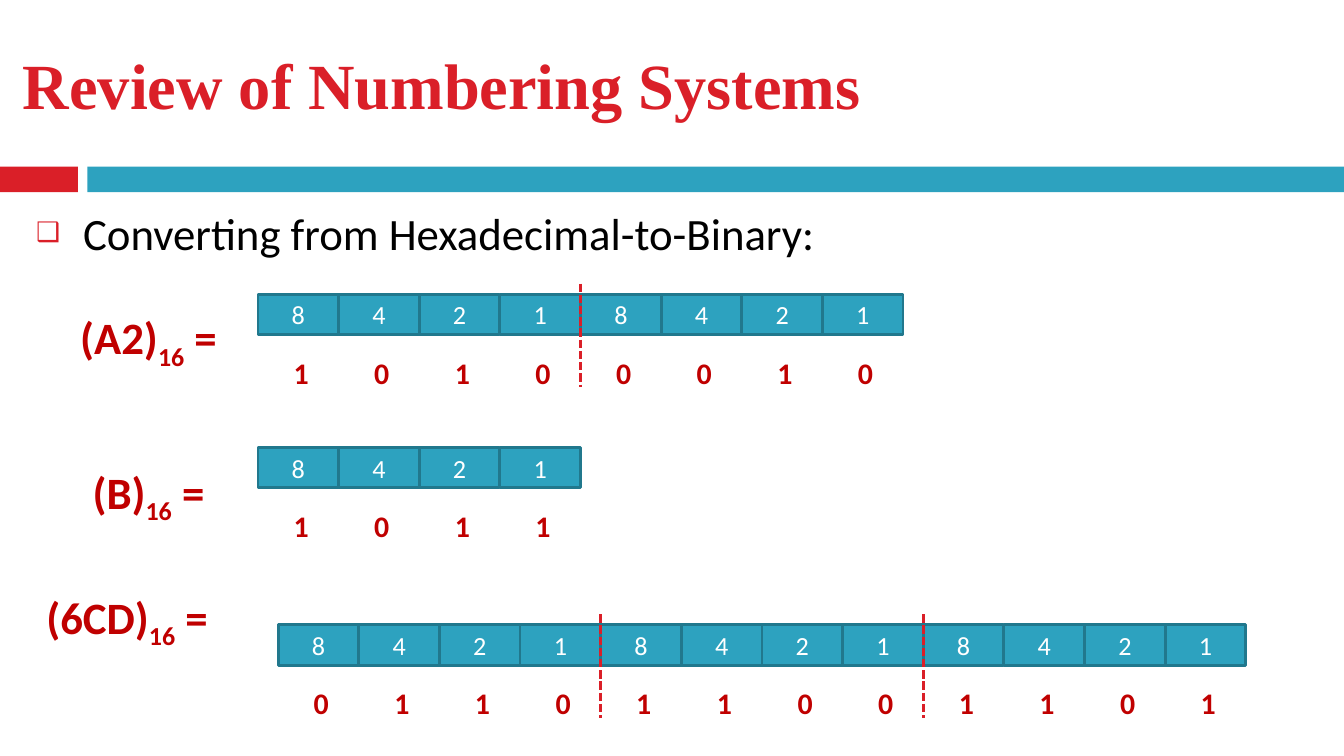
from lxml.etree import SubElement
from pptx import Presentation
from pptx.dml.color import RGBColor
from pptx.enum.dml import MSO_LINE
from pptx.enum.shapes import MSO_CONNECTOR, MSO_SHAPE
from pptx.enum.text import MSO_ANCHOR, MSO_AUTO_SIZE, PP_ALIGN
from pptx.oxml.ns import qn
from pptx.util import Inches, Pt

TITLE = "Review of Numbering Systems"
TOPIC = "Converting from Hexadecimal-to-Binary:"
WEIGHTS = "8421"
CONVERSIONS = [
    {"hex": "A2", "bits": "10100010", "left": 1.92, "top": 2.19, "label": (0.29, 2.15, 1.63, 0.77)},
    {"hex": "B", "bits": "1011", "left": 1.92, "top": 3.33, "label": (0.29, 3.3, 1.63, 0.77)},
    {"hex": "6CD", "bits": "011011001101", "left": 2.07, "top": 4.65, "label": (0, 4.23, 1.89, 0.77)},
]
COLORS = {
    "red": "DA1F28", "teal": "2DA2BF", "edge": "21788D",
    "answer": "C00000", "black": "000000", "white": "FFFFFF",
}
CELL_W, CELL_H = 0.6, 0.3
BIT_DX, BIT_DY = 0.02, 0.43
SPLIT_RISE, SPLIT_H = 0.08, 0.77


def rgb(name):
    return RGBColor.from_string(COLORS[name])


def inches(box):
    return [Inches(v) for v in box]


def add_run(p, text, size, color, bold=False, font="Calibri"):
    r = p.add_run()
    r.text = text
    r.font.name, r.font.size, r.font.bold = font, Pt(size), bold
    r.font.color.rgb = rgb(color)
    return r


def add_rect(s, box, fill, edge=None):
    sp = s.shapes.add_shape(MSO_SHAPE.RECTANGLE, *inches(box))
    sp.shadow.inherit = False
    sp.fill.solid()
    sp.fill.fore_color.rgb = rgb(fill)
    if edge:
        sp.line.color.rgb = rgb(edge)
        sp.line.width = Pt(1.5)
    else:
        sp.line.fill.background()
    return sp


def add_text(s, box):
    sp = s.shapes.add_textbox(*inches(box))
    sp.text_frame.word_wrap = True
    return sp


def center(sp):
    tf = sp.text_frame
    tf.vertical_anchor = MSO_ANCHOR.MIDDLE
    p = tf.paragraphs[0]
    p.alignment = PP_ALIGN.CENTER
    return p


def add_split(s, x, y):
    line = s.shapes.add_connector(MSO_CONNECTOR.STRAIGHT, *inches((x, y, x, y + SPLIT_H)))
    line.line.color.rgb = rgb("red")
    line.line.width = Pt(1.5)
    line.line.dash_style = MSO_LINE.SQUARE_DOT
    SubElement(line._element.spPr, qn("a:effectLst"))


def add_title(s):
    sp = s.shapes.title
    sp.left, sp.top, sp.width, sp.height = inches((0.17, 0.31, 8.67, 0.62))
    tf = sp.text_frame
    tf.auto_size = MSO_AUTO_SIZE.NONE
    tf.vertical_anchor = MSO_ANCHOR.MIDDLE
    tf.margin_left = tf.margin_top = tf.margin_right = tf.margin_bottom = 0
    p = tf.paragraphs[0]
    p.alignment = PP_ALIGN.LEFT
    add_run(p, TITLE, 34.5, "red", True, "Times New Roman")


def add_topic(s):
    p = add_text(s, (0.17, 1.48, 9.83, 2.33)).text_frame.paragraphs[0]
    p.space_before = Pt(7)
    pPr = p._p.get_or_add_pPr()
    pPr.set("marL", str(Inches(0.35)))
    pPr.set("indent", str(-Inches(0.35)))
    SubElement(SubElement(pPr, qn("a:buClr")), qn("a:srgbClr"), val=COLORS["red"])
    SubElement(pPr, qn("a:buSzPct"), val="60000")
    SubElement(pPr, qn("a:buFont"), typeface="Calibri")
    SubElement(pPr, qn("a:buChar"), char="❑")
    add_run(p, TOPIC, 24, "black")


def add_conversion(s, row):
    left, top = row["left"], row["top"]
    p = center(add_text(s, row["label"]))
    add_run(p, f"({row['hex']})", 24, "answer", True)
    base = add_run(p, "16", 24, "answer", True)
    base._r.get_or_add_rPr().set("baseline", "-25000")
    add_run(p, " =", 24, "answer", True)
    for i, bit in enumerate(row["bits"]):
        x = left + i * CELL_W
        cell = add_rect(s, (x, top, CELL_W, CELL_H), "teal", "edge")
        add_run(center(cell), WEIGHTS[i % len(WEIGHTS)], 14, "white")
        answer = add_text(s, (x + BIT_DX, top + BIT_DY, CELL_W, CELL_H))
        add_run(center(answer), bit, 16, "answer", True)
    for i in range(len(WEIGHTS), len(row["bits"]), len(WEIGHTS)):
        add_split(s, left + i * CELL_W, top - SPLIT_RISE)


def main():
    prs = Presentation()
    prs.slide_width = Inches(10)
    prs.slide_height = prs.slide_width * 9 // 16
    s = prs.slides.add_slide(prs.slide_layouts[5])
    add_rect(s, (0, 1.24, 0.58, 0.19), "red")
    add_rect(s, (0.65, 1.24, 9.35, 0.19), "teal")
    add_title(s)
    add_topic(s)
    for row in CONVERSIONS:
        add_conversion(s, row)
    prs.save("out.pptx")


if __name__ == "__main__":
    main()
